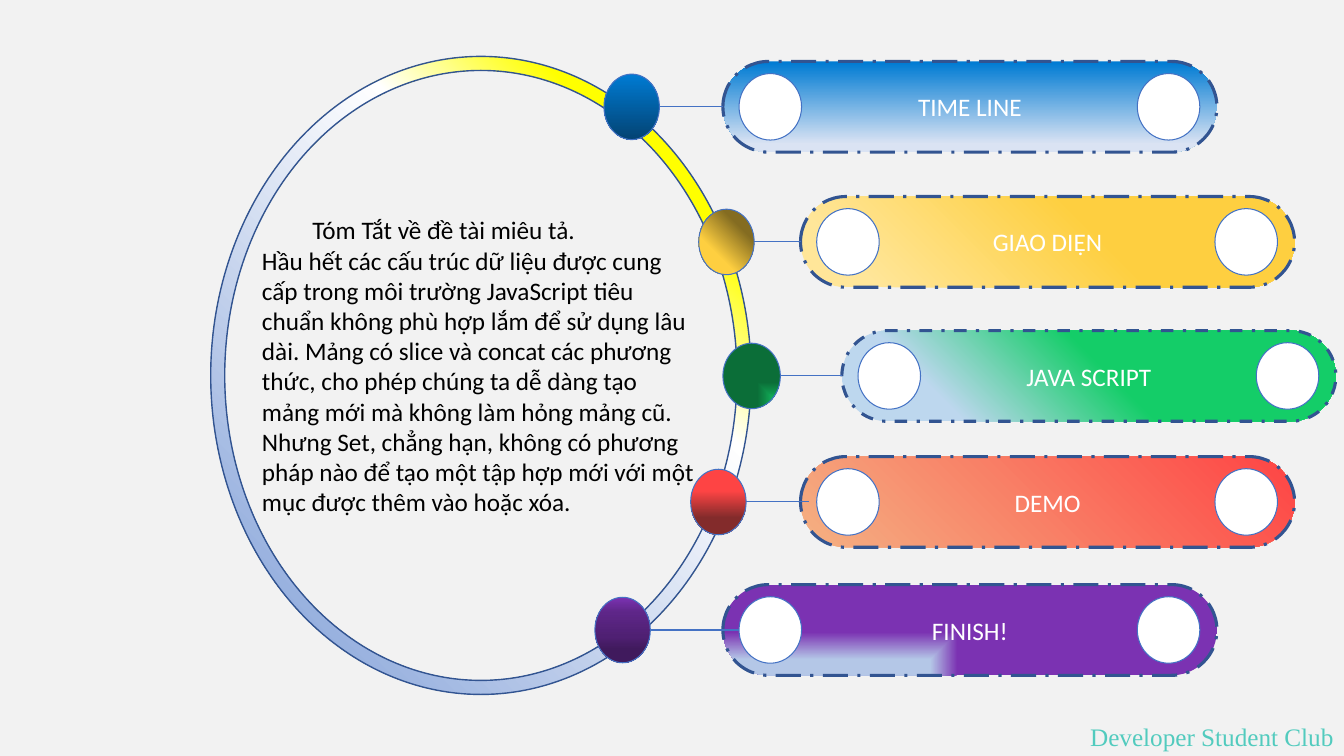
from lxml.etree import SubElement
from pptx import Presentation
from pptx.dml.color import RGBColor
from pptx.enum.dml import MSO_LINE
from pptx.enum.shapes import MSO_CONNECTOR, MSO_SHAPE
from pptx.enum.text import MSO_ANCHOR, MSO_AUTO_SIZE, PP_ALIGN
from pptx.oxml.ns import qn
from pptx.util import Inches, Pt

COLS, ROWS = 133.3, 75
PILL_W, PILL_H = 49, 9
DOT_H = 6.5
KNOB_W, KNOB_H = 6.2, 6.6
NAVY, BLUE, WHITE = "325491", "4472C4", "FFFFFF"
TOP_RIGHT, LOW_LEFT, LOW_RIGHT = (100, 0, 0, 100), (0, 100, 100, 0), (100, 100, 0, 0)
LONG, SHORT = MSO_LINE.LONG_DASH_DOT, MSO_LINE.DASH_DOT

STEPS = [
    dict(name="TIME LINE", left=71.7, top=6.1, dash=LONG, tip=0,
         fade=dict(stops=[(1, "007BD3"), (91, "DAE3F3")]),
         dot=(59.9, 5.5), tint=dict(stops=[(0, "007BD3"), (100, "034373")])),
    dict(name="GIAO DIỆN", left=79.4, top=19.5, dash=LONG, tip=0,
         fade=dict(stops=[(40, "FECF40"), (87, "FFE699")], kind="circle", focus=TOP_RIGHT),
         dot=(69.3, 5.5),
         tint=dict(stops=[(32, "FECF40"), (74, "846C21")], kind="circle", focus=LOW_LEFT)),
    dict(name="JAVA SCRIPT", left=83.5, top=32.8, dash=SHORT, tip=0,
         fade=dict(stops=[(46, "14CD68"), (79, "BDD7EE"), (90, "BDD7EE")],
                   kind="circle", focus=TOP_RIGHT),
         dot=(71.7, 5.7),
         tint=dict(stops=[(0, "14CD68"), (80, "0B6E38")], kind="rect", focus=LOW_RIGHT)),
    dict(name="DEMO", left=79.4, top=45.3, dash=LONG, tip=0.8,
         fade=dict(stops=[(0, "FE4444"), (100, "F4B183")], kind="circle", focus=TOP_RIGHT),
         dot=(68.5, 5.5), tint=dict(stops=[(33, "FE4444"), (74, "832B2B")])),
    dict(name="FINISH!", left=71.7, top=58, dash=LONG, tip=2.7,
         fade=dict(stops=[(35, "B4C7E7"), (95, "7B32B2")], kind="rect", focus=LOW_LEFT),
         dot=(59, 5.5),
         tint=dict(stops=[(0, "7B32B2"), (23, "5E2688"), (60, "4F2073"), (79, "401A5D")])),
]

STORY = [
    "\tTóm Tắt về đề tài miêu tả.",
    "Hầu hết các cấu trúc dữ liệu được cung cấp trong môi trường JavaScript tiêu "
    "chuẩn không phù hợp lắm để sử dụng lâu dài. Mảng có slice và concat các phương "
    "thức, cho phép chúng ta dễ dàng tạo mảng mới mà không làm hỏng mảng "
    "cũ. Nhưng Set, chẳng hạn, không có phương pháp nào để tạo một tập hợp mới "
    "với một mục được thêm vào hoặc xóa.",
]


def unit(count):
    return Inches(count / 10)


def hue(code):
    return RGBColor.from_string(code)


def blend(shape, stops, kind=None, focus=None):
    shape.fill.gradient()
    grad = shape.element.spPr.find(qn("a:gradFill"))
    grad.clear()
    grad.set("rotWithShape", "1")
    group = SubElement(grad, qn("a:gsLst"))
    for spot, code in stops:
        stop = SubElement(group, qn("a:gs"), pos=str(spot * 1000))
        SubElement(stop, qn("a:srgbClr"), val=str(hue(code)))
    if kind:
        route = SubElement(grad, qn("a:path"))
        route.set("path", kind)
        sides = {side: str(share * 1000) for side, share in zip("ltrb", focus) if share}
        SubElement(route, qn("a:fillToRect"), **sides)
    else:
        SubElement(grad, qn("a:lin"), ang="5400000", scaled="0")


def draw(slide, form, box, fill, edge=BLUE, width=0.75, dash=None, bend=None):
    shape = slide.shapes.add_shape(form, *map(unit, box))
    shape.shadow.inherit = False
    if isinstance(fill, dict):
        blend(shape, **fill)
    else:
        shape.fill.solid()
        shape.fill.fore_color.rgb = hue(fill)
    shape.line.color.rgb = hue(edge)
    shape.line.width = Pt(width)
    if dash:
        shape.line.dash_style = dash
    if bend is not None:
        shape.adjustments[0] = bend
    return shape


def write(shape, *lines, font="Calibri", color=WHITE, align=PP_ALIGN.CENTER,
          anchor=MSO_ANCHOR.MIDDLE, wrap=True, grow=False):
    frame = shape.text_frame
    frame.word_wrap = wrap
    frame.vertical_anchor = anchor
    if grow:
        frame.auto_size = MSO_AUTO_SIZE.SHAPE_TO_FIT_TEXT
    for index, line in enumerate(lines):
        para = frame.add_paragraph() if index else frame.paragraphs[0]
        para.alignment = align
        run = para.add_run()
        run.text = line
        run.font.size = Pt(18)
        run.font.name = font
        run.font.color.rgb = hue(color)


def label(slide, box, *lines, **style):
    area = slide.shapes.add_textbox(*map(unit, box))
    write(area, *lines, anchor=MSO_ANCHOR.TOP, grow=True, **style)


def link(slide, start, end, level, pill=None):
    line = slide.shapes.add_connector(
        MSO_CONNECTOR.STRAIGHT, *map(unit, (start, level, end, level)))
    if pill:
        line.end_connect(pill, 1)
    line.line.color.rgb = hue(BLUE)
    line.line.width = Pt(0.75)
    SubElement(line.element.spPr, qn("a:effectLst"))


def step(slide, name, left, top, dash, tip, fade, dot, tint):
    pill = draw(slide, MSO_SHAPE.ROUNDED_RECTANGLE, (left, top, PILL_W, PILL_H),
                fade, edge=NAVY, width=2.25, dash=dash, bend=0.5)
    write(pill, name)
    middle = top + PILL_H / 2
    start, width = dot
    draw(slide, MSO_SHAPE.OVAL, (start, middle - DOT_H / 2, width, DOT_H), tint)
    link(slide, start + width, left + tip, middle, None if tip else pill)
    for shift in (1.6, 41.1):
        draw(slide, MSO_SHAPE.OVAL,
             (left + shift, middle - KNOB_H / 2, KNOB_W, KNOB_H), WHITE)


def main():
    deck = Presentation()
    deck.slide_width, deck.slide_height = unit(COLS), unit(ROWS)
    slide = deck.slides.add_slide(deck.slide_layouts[6])
    slide.background.fill.solid()
    slide.background.fill.fore_color.rgb = hue("F2F2F2")
    ring = dict(stops=[(10, "8FAADC"), (66, WHITE), (82, "FFFF00")],
                kind="circle", focus=LOW_LEFT)
    draw(slide, MSO_SHAPE.DONUT, (20.9, 5.6, 53.6, 63.3), ring,
         edge=NAVY, width=1, bend=0.026)
    for item in STEPS:
        step(slide, **item)
    label(slide, (107.1, 71.1, 26.2, 4), "Developer Student Club",
          font="Times New Roman", color="52CBBE", wrap=False)
    label(slide, (25, 20.8, 45.2, 34.3), *STORY, color="000000", align=PP_ALIGN.LEFT)
    deck.save("out.pptx")


if __name__ == "__main__":
    main()
